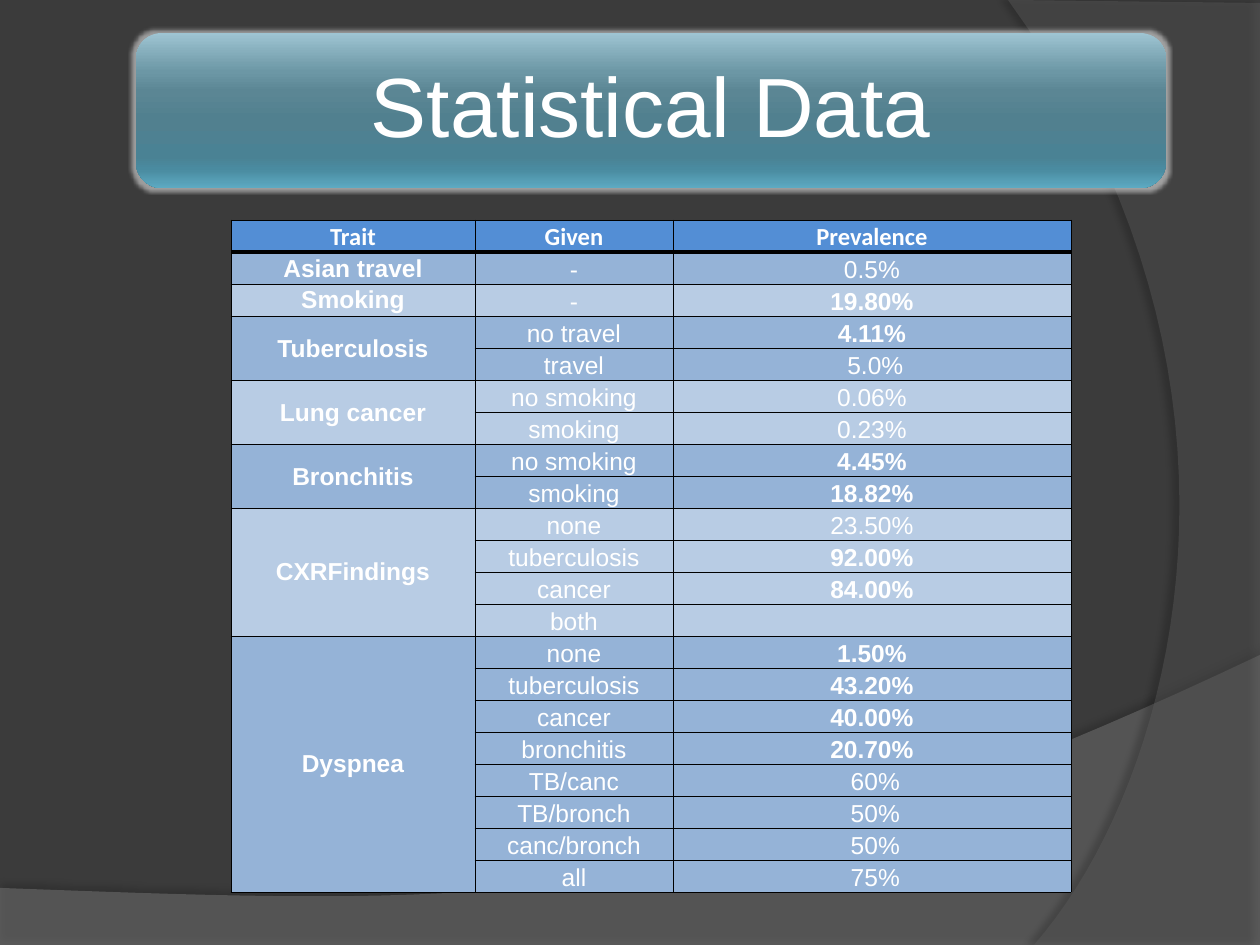
from dataclasses import dataclass
from typing import NamedTuple

from lxml import etree
from pptx import Presentation
from pptx import util as u
from pptx.dml.color import RGBColor
from pptx.enum import shapes, text
from pptx.oxml.ns import qn

EMU_PER_PX = 914400 / 126


@dataclass(frozen=True)
class Theme:
    background: str = "3B3B3B"
    sweep: str = "7F7F7F"
    arc: str = "5E5E5E"
    ink: str = "FFFFFF"
    border: str = "000000"
    header: str = "538ED5"
    bands: tuple = ("95B3D7", "B8CCE4")
    banner: tuple = ((0, "9EC4D2"), (25, "6C97A5"), (38, "5B8694"), (55, "51808F"),
                     (80, "4A8294"), (88, "4A8BA0"), (100, "5DAAC2"))
    font: str = "Arial"
    header_font: str = "Calibri"
    title_pt: int = 48
    table_pt: int = 14
    thin_pt: float = 0.5
    thick_pt: float = 2


class Box(NamedTuple):
    left: int
    top: int
    width: int
    height: int


class Swoosh(NamedTuple):
    """Straight corners, then a Bezier from the last corner to the end point."""
    corners: tuple
    curve: tuple
    color: str
    opacity: int
    shadow_opacity: int
    shadow_pt: float
    shadow_angle: int


class Reading(NamedTuple):
    given: str
    prevalence: str
    bold: bool = False


class Trait(NamedTuple):
    name: str
    readings: tuple


THEME = Theme()
BANNER = Box(136, 33, 1030, 155)
TABLE = Box(231, 220, 840, 672)
COLUMNS = (244, 198, 398)
HEADINGS = ("Trait", "Given", "Prevalence")

SWOOSHES = (
    Swoosh(((0, 888), (0, 945), (1260, 945), (1260, 655)),
           ((704, 919), (493, 906), (0, 888)), THEME.sweep, 45, 35, 3.5, 270),
    Swoosh(((1260, 3), (1260, 945), (1034, 945)),
           ((1178, 780), (1283, 378), (1008, 0)), THEME.arc, 40, 45, 4, 180),
)

TRAITS = (
    Trait("Asian travel", (Reading("-", "0.5%"),)),
    Trait("Smoking", (Reading("-", "19.80%", True),)),
    Trait("Tuberculosis", (Reading("no travel", "4.11%", True),
                           Reading("travel", " 5.0%"))),
    Trait("Lung cancer", (Reading("no smoking", "0.06%"),
                          Reading("smoking", "0.23%"))),
    Trait("Bronchitis", (Reading("no smoking", "4.45%", True),
                         Reading("smoking", "18.82%", True))),
    Trait("CXRFindings", (Reading("none", "23.50%"),
                          Reading("tuberculosis", "92.00%", True),
                          Reading("cancer", "84.00%", True),
                          Reading("both", ""))),
    Trait("Dyspnea", (Reading("none", "1.50%", True),
                      Reading("tuberculosis", "43.20%", True),
                      Reading("cancer", "40.00%", True),
                      Reading("bronchitis", "20.70%", True),
                      Reading("TB/canc", " 60%"),
                      Reading("TB/bronch", " 50%"),
                      Reading("canc/bronch", " 50%"),
                      Reading("all", " 75%"))),
)


def px(n: float) -> int:
    return round(n * EMU_PER_PX)


def rgb(color: str) -> RGBColor:
    return RGBColor.from_string(color)


def add(parent, tag: str, **attrs):
    return etree.SubElement(parent, qn(tag), {k: str(v) for k, v in attrs.items()})


def add_color(parent, color: str, opacity: int = 100) -> None:
    c = add(parent, "a:srgbClr", val=color)
    if opacity < 100:
        add(c, "a:alpha", val=opacity * 1000)


def add_run(p, words: str, size: int, font: str, bold: bool = False) -> None:
    r = p.add_run()
    r.text = words
    r.font.size, r.font.name, r.font.bold = u.Pt(size), font, bold
    r.font.color.rgb = rgb(THEME.ink)


def bezier(p0: tuple, p1: tuple, p2: tuple, p3: tuple, steps: int = 40) -> list:
    """Points along a cubic curve, leaving out its start."""
    def at(t: float) -> tuple:
        weights = ((1 - t) ** 3, 3 * t * (1 - t) ** 2, 3 * t * t * (1 - t), t ** 3)
        return tuple(px(sum(w * v for w, v in zip(weights, axis)))
                     for axis in zip(p0, p1, p2, p3))
    return [at(i / steps) for i in range(1, steps + 1)]


def draw_swoosh(s, w: Swoosh) -> None:
    start, *rest = [(px(x), px(y)) for x, y in w.corners]
    builder = s.shapes.build_freeform(*start)
    builder.add_line_segments(rest + bezier(w.corners[-1], *w.curve), close=True)
    sp = builder.convert_to_shape()
    sp.fill.solid()
    sp.fill.fore_color.rgb = rgb(w.color)
    solid = sp._element.spPr.find(qn("a:solidFill"))
    add(solid[0], "a:alpha", val=w.opacity * 1000)
    sp.line.fill.background()
    effects = add(sp._element.spPr, "a:effectLst")
    shadow = add(effects, "a:outerShdw", blurRad=u.Pt(4), dist=u.Pt(w.shadow_pt),
                 dir=w.shadow_angle * 60000, algn="ctr", rotWithShape=0)
    add_color(shadow, THEME.border, w.shadow_opacity)


def draw_banner(s, box: Box, title: str) -> None:
    sp = s.shapes.add_shape(shapes.MSO_SHAPE.ROUNDED_RECTANGLE, *map(px, box))
    spPr = sp._element.spPr
    grad = add(spPr, "a:gradFill", rotWithShape=1)
    stops = add(grad, "a:gsLst")
    for position, color in THEME.banner:
        add_color(add(stops, "a:gs", pos=position * 1000), color)
    add(grad, "a:lin", ang=90 * 60000, scaled=0)
    sp.line.fill.background()
    glow = add(add(spPr, "a:effectLst"), "a:glow", rad=u.Pt(4))
    add_color(glow, THEME.ink, 50)

    tf = sp.text_frame
    tf.word_wrap = True
    tf.vertical_anchor = text.MSO_ANCHOR.MIDDLE
    tf.margin_left = tf.margin_right = tf.margin_top = tf.margin_bottom = px(25)
    p = tf.paragraphs[0]
    p.alignment, p.line_spacing = text.PP_ALIGN.CENTER, 0.9
    add_run(p, title, THEME.title_pt, THEME.font)


def fill_cell(cell, words: str, fill: str, font: str = THEME.font, bold: bool = False,
              middle: bool = False, top: float = THEME.thin_pt,
              bottom: float = THEME.thin_pt) -> None:
    cell.margin_left = cell.margin_right = cell.margin_top = px(1)
    cell.margin_bottom = 0
    cell.vertical_anchor = text.MSO_ANCHOR.MIDDLE if middle else text.MSO_ANCHOR.BOTTOM
    sides = {"L": THEME.thin_pt, "R": THEME.thin_pt, "T": top, "B": bottom}
    for side, width in sides.items():
        ln = add(cell._tc.get_or_add_tcPr(), f"a:ln{side}", w=u.Pt(width))
        add_color(add(ln, "a:solidFill"), THEME.border)
    cell.fill.solid()
    cell.fill.fore_color.rgb = rgb(fill)
    p = cell.text_frame.paragraphs[0]
    p.alignment = text.PP_ALIGN.CENTER
    if words:
        add_run(p, words, THEME.table_pt, font, bold)
    else:
        add(p._p, "a:endParaRPr", sz=THEME.table_pt * 100)


def draw_table(s, box: Box, traits: tuple) -> None:
    count = 1 + sum(len(t.readings) for t in traits)
    table = s.shapes.add_table(count, len(COLUMNS), *map(px, box)).table
    table.first_row = table.horz_banding = False
    for column, width in zip(table.columns, COLUMNS):
        column.width = px(width)
    for row in table.rows:
        row.height = px(box.height / count)

    for col, heading in enumerate(HEADINGS):
        fill_cell(table.cell(0, col), heading, THEME.header, THEME.header_font,
                  bold=True, bottom=THEME.thick_pt)
    row = 1
    for i, trait in enumerate(traits):
        fill, first = THEME.bands[i % 2], row
        for reading in trait.readings:
            top = THEME.thick_pt if row == 1 else THEME.thin_pt
            name = trait.name if row == first else ""
            fill_cell(table.cell(row, 0), name, fill, bold=True, middle=True, top=top)
            fill_cell(table.cell(row, 1), reading.given, fill, top=top)
            fill_cell(table.cell(row, 2), reading.prevalence, fill,
                      bold=reading.bold, top=top)
            row += 1
        if row - first > 1:
            table.cell(first, 0).merge(table.cell(row - 1, 0))


def main() -> None:
    prs = Presentation()
    prs.slide_width, prs.slide_height = px(1260), px(945)
    s = prs.slides.add_slide(prs.slide_layouts[6])
    s.background.fill.solid()
    s.background.fill.fore_color.rgb = rgb(THEME.background)
    for swoosh in SWOOSHES:
        draw_swoosh(s, swoosh)
    draw_table(s, TABLE, TRAITS)
    draw_banner(s, BANNER, "Statistical Data")
    prs.save("out.pptx")


if __name__ == "__main__":
    main()
